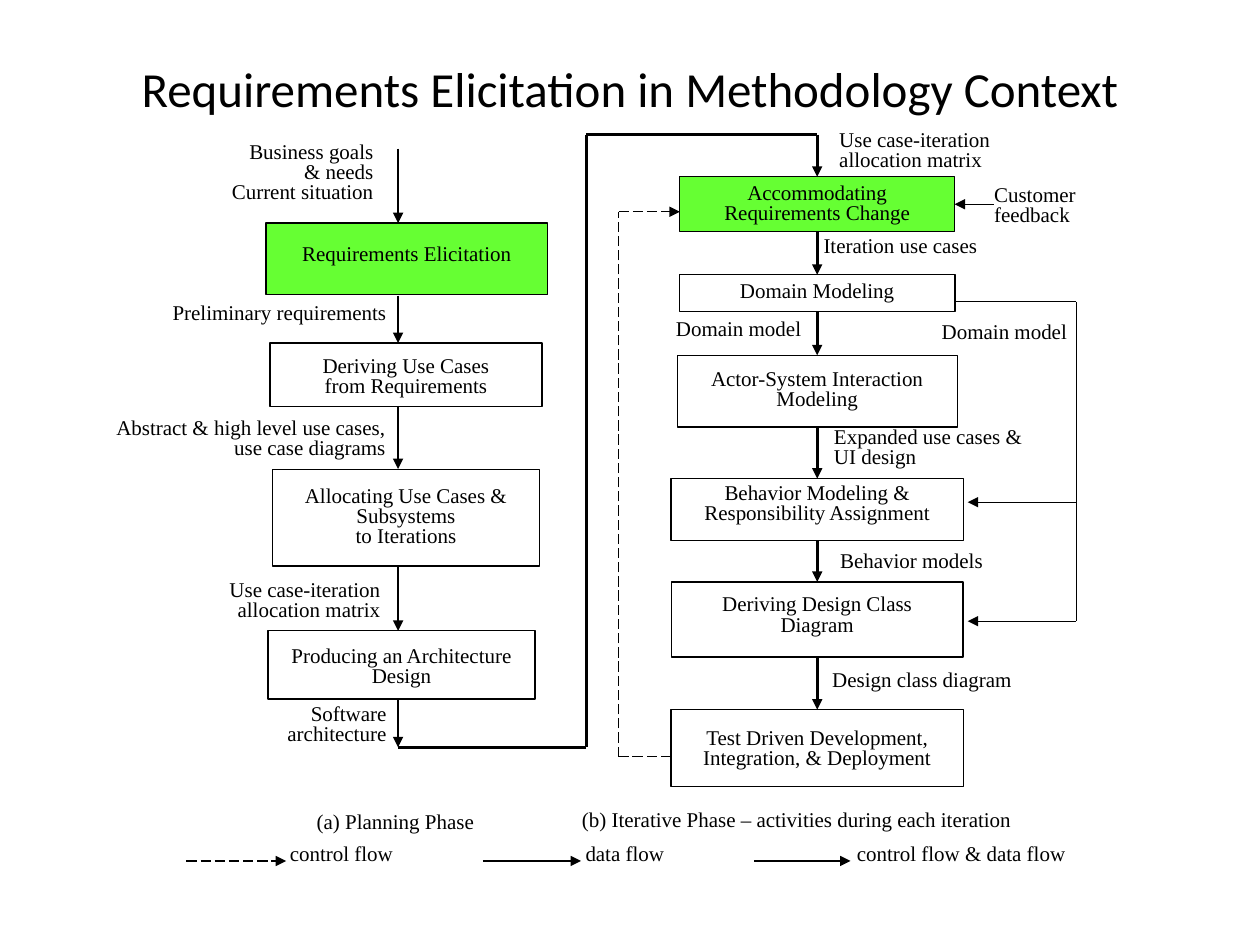
from lxml import etree
from pptx import Presentation
from pptx.dml.color import RGBColor
from pptx.enum.dml import MSO_LINE
from pptx.enum.shapes import MSO_CONNECTOR, MSO_SHAPE
from pptx.enum.text import MSO_ANCHOR, PP_ALIGN
from pptx.oxml.ns import qn
from pptx.util import Pt

LEFT, CENTER, RIGHT = PP_ALIGN.LEFT, PP_ALIGN.CENTER, PP_ALIGN.RIGHT
TOP, MIDDLE = MSO_ANCHOR.TOP, MSO_ANCHOR.MIDDLE
STRAIGHT, RECT, DASH = MSO_CONNECTOR.STRAIGHT, MSO_SHAPE.RECTANGLE, MSO_LINE.LONG_DASH
SIDE_TOP, SIDE_BOTTOM, SIDE_RIGHT = 0, 2, 3
BLACK = RGBColor(0, 0, 0)
WHITE = RGBColor(0xFF, 0xFF, 0xFF)
GREEN = RGBColor(0x66, 0xFF, 0x33)
THIN, THICK = 0.75, 1.5
PLAN_X, ITER_X = 227.5, 467  # arrow axes of the two phases

TITLE = "Requirements Elicitation in Methodology Context"

# Activities: lines, centre x, top, width, height, text inset from top, fill
PLANNING = [
    (["Requirements Elicitation"], 232.5, 127.5, 161, 41, 13, GREEN),
    (["Deriving Use Cases", "from Requirements"], 232, 196, 155.5, 36.5, 8, WHITE),
    (["Allocating Use Cases & Subsystems", "to Iterations"],
     232, 268.5, 152.5, 55, 10, WHITE),
    (["Producing an Architecture Design"], 229.5, 360.5, 152.5, 39, 9.5, WHITE),
]
ITERATIVE = [
    (["Accommodating", "Requirements Change"], ITER_X, 101, 157, 31.5, 4.5, GREEN),
    (["Domain Modeling"], ITER_X, 157, 157.5, 21, 4.5, WHITE),
    (["Actor-System Interaction Modeling"], ITER_X, 203, 160, 41, 8.5, WHITE),
    (["Behavior Modeling &", "Responsibility Assignment"],
     ITER_X, 273.5, 167, 35.5, 3.5, WHITE),
    (["Deriving Design Class", "Diagram"], ITER_X, 332.5, 166.5, 43, 8, WHITE),
    (["Test Driven Development, Integration, & Deployment"],
     ITER_X, 405.5, 167, 44, 11.5, WHITE),
]

# Labels: lines, left, top, width, height, alignment
LABELS = [
    (["Business goals", "& needs", "Current situation"], 99.5, 78.5, 121, 54.5, RIGHT),
    (["Preliminary requirements"], 91.5, 170.5, 139.5, 23, LEFT),
    (["Abstract & high level use cases, use case diagrams"],
     52, 236, 175.5, 38, RIGHT),
    (["Use case-iteration allocation matrix"], 80, 328.5, 144.5, 39.5, RIGHT),
    (["Software architecture"], 131, 399.5, 97, 38, RIGHT),
    (["Use case-iteration allocation matrix"], 472.5, 71.5, 144.5, 39.5, LEFT),
    (["Customer", "feedback"], 561, 103, 85, 44, LEFT),
    (["Iteration use cases"], 463.5, 132, 145.5, 25, LEFT),
    (["Domain model"], 357, 179.5, 108, 20, RIGHT),
    (["Domain model"], 520, 181.5, 108, 20, CENTER),
    (["Expanded use cases & UI design"], 469.5, 241, 136, 39, LEFT),
    (["Behavior models"], 473, 312, 101, 22.5, LEFT),
    (["Design class diagram"], 468.5, 380, 185, 25, LEFT),
    (["(a) Planning Phase"], 144.5, 461.5, 163, 25, CENTER),
    (["(b) Iterative Phase – activities during each iteration"],
     325.5, 460, 335, 25, LEFT),
]

# Legend: text, text left, text width, arrow start, arrow end, weight, dashed
LEGEND = [
    ("control flow", 158.5, 114.5, 106.5, 163.5, THIN, True),
    ("data flow", 327.5, 104.5, 276, 332, THIN, False),
    ("control flow & data flow", 482.5, 183.5, 431, 486, THICK, False),
]

# Routes: corner points, weight, dashed, arrowhead at the end
ROUTES = [
    ([(PLAN_X, 85), (PLAN_X, 127.5)], THICK, False, True),
    ([(PLAN_X, 169), (PLAN_X, 196)], THICK, False, True),
    ([(PLAN_X, 232), (PLAN_X, 268)], THICK, False, True),
    ([(PLAN_X, 323.5), (PLAN_X, 360.5)], THICK, False, True),
    ([(PLAN_X, 400), (PLAN_X, 427)], THICK, False, True),
    ([(PLAN_X, 427), (335, 427), (335, 77), (ITER_X, 77)], THICK, False, False),
    ([(383.5, 432.5), (353.5, 432.5), (353.5, 121), (388.5, 121)], THIN, True, True),
    ([(545.5, 172.5), (615, 172.5), (615, 355), (553, 355)], THIN, False, True),
    ([(615, 287), (553, 287)], THIN, False, True),
]


def write(shape, lines, align, size=12, font="Times New Roman", spacing=0.8, anchor=TOP):
    tf = shape.text_frame
    tf.word_wrap = True
    tf.vertical_anchor = anchor
    tf.text = "\n".join(lines)
    for p in tf.paragraphs:
        p.alignment = align
        p.line_spacing = spacing
        p.font.size = Pt(size)
        p.font.name = font
        p.font.color.rgb = BLACK


def add_text(s, lines, left, top, width, height, align, **style):
    tb = s.shapes.add_textbox(Pt(left), Pt(top), Pt(width), Pt(height))
    write(tb, lines, align, **style)


def add_activity(s, lines, center, top, width, height, inset, fill):
    sp = s.shapes.add_shape(RECT, Pt(center - width / 2), Pt(top), Pt(width), Pt(height))
    sp.shadow.inherit = False
    sp.fill.solid()
    sp.fill.fore_color.rgb = fill
    sp.line.color.rgb = BLACK
    sp.line.width = Pt(THIN)
    write(sp, lines, CENTER)
    sp.text_frame.margin_top = Pt(inset)
    return sp


def add_line(s, start, end, weight, dashed=False, arrow=True):
    c = s.shapes.add_connector(STRAIGHT, *(Pt(v) for v in (*start, *end)))
    c.line.color.rgb = BLACK
    c.line.width = Pt(weight)
    if dashed:
        c.line.dash_style = DASH
    if arrow:
        etree.SubElement(c.line._get_or_add_ln(), qn("a:tailEnd"), type="triangle")
    etree.SubElement(c._element.spPr, qn("a:effectLst"))
    return c


def main():
    prs = Presentation()
    prs.slide_width, prs.slide_height = Pt(720), Pt(540)
    s = prs.slides.add_slide(prs.slide_layouts[6])

    add_text(s, [TITLE], 36, 21.5, 648, 57, CENTER,
             size=28, font="Calibri", spacing=1.0, anchor=MIDDLE)

    # Activities of both phases
    for activity in PLANNING:
        add_activity(s, *activity)
    steps = [add_activity(s, *activity) for activity in ITERATIVE]

    # Arrows joined to the iterative activities
    for upper, lower in zip(steps, steps[1:]):
        c = add_line(s, (ITER_X, 0), (ITER_X, 10), THICK)
        c.begin_connect(upper, SIDE_BOTTOM)
        c.end_connect(lower, SIDE_TOP)
    entry = add_line(s, (ITER_X, 77), (ITER_X, 101), THICK)
    entry.end_connect(steps[0], SIDE_TOP)
    feedback = add_line(s, (568, 116.75), (545.5, 116.75), THIN)
    feedback.end_connect(steps[0], SIDE_RIGHT)

    # Other flows, with the arrowhead on the last leg only
    for points, weight, dashed, arrow in ROUTES:
        for start, end in zip(points, points[1:]):
            add_line(s, start, end, weight, dashed, arrow and end == points[-1])

    for label in LABELS:
        add_text(s, *label)

    # Legend
    for text, left, width, x1, x2, weight, dashed in LEGEND:
        add_line(s, (x1, 492), (x2, 492), weight, dashed)
        add_text(s, [text], left, 479.5, width, 25, LEFT)

    prs.save("out.pptx")


if __name__ == "__main__":
    main()
